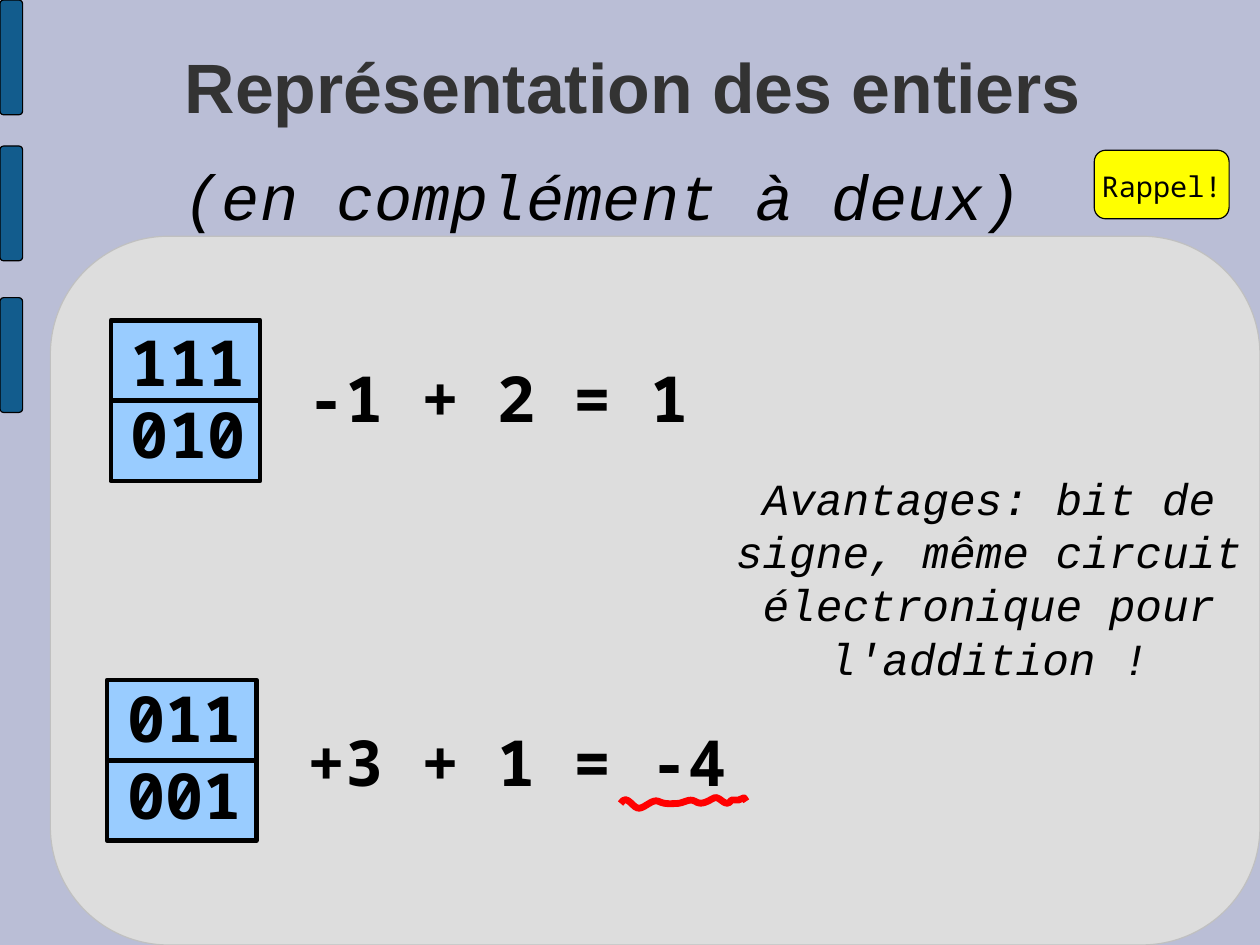
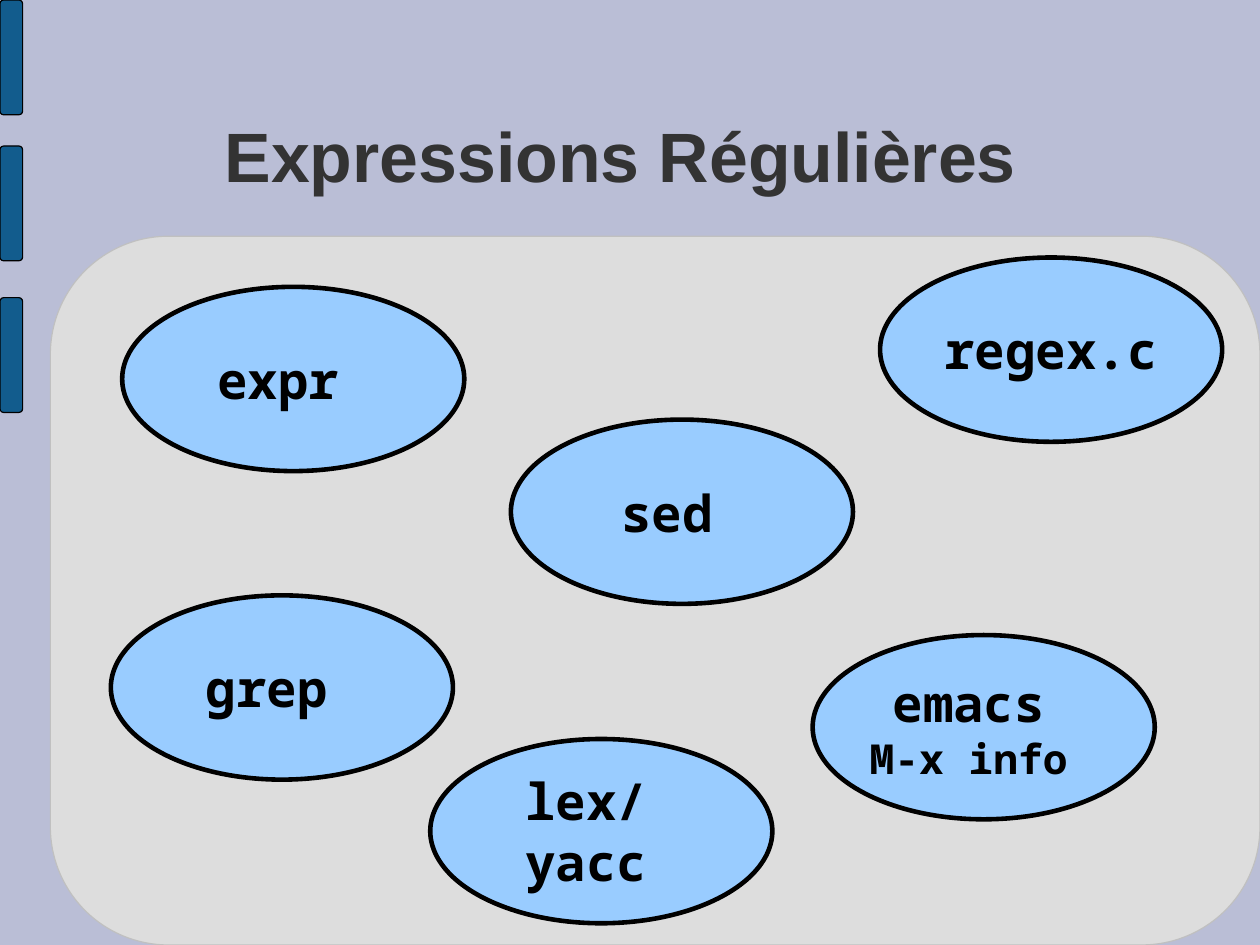
from pptx import Presentation
from pptx import util as u
from pptx.dml.color import RGBColor
from pptx.enum import shapes, text

W, H = u.Cm(28), u.Cm(21)  # slide size
BACK, PANEL, PANEL_EDGE, BAR = "BABED6", "DDDDDD", "C0C0C0", "125C8D"
BLUE, YELLOW, RED, BLACK, GREY = "99CCFF", "FFFF00", "FF0000", "000000", "333333"
SANS, MONO, COURIER = "Arial", "Noto Sans Mono", "Courier New"
SHAPE = shapes.MSO_SHAPE
LEFT, CENTER = text.PP_ALIGN.LEFT, text.PP_ALIGN.CENTER
TOP, MIDDLE = text.MSO_ANCHOR.TOP, text.MSO_ANCHOR.MIDDLE
THICK = 2.89


def color(hex_string):
    return RGBColor.from_string(hex_string)


def area(x, y, w, h):
    """Turn percentages of the slide into lengths."""
    return [u.Emu(round(v * side / 100)) for v, side in zip((x, y, w, h), (W, H, W, H))]


def write(sp, lines, sizes, font=MONO, bold=False, italic=False, ink=BLACK,
          align=LEFT, anchor=TOP, right=0, spacing=None):
    """Fill a shape with paragraphs; right is the right inset in inches."""
    tf = sp.text_frame
    tf.word_wrap, tf.auto_size = True, text.MSO_AUTO_SIZE.NONE
    tf.vertical_anchor = anchor
    tf.margin_left = tf.margin_top = tf.margin_bottom = 0
    tf.margin_right = u.Inches(right)
    tf.text = lines
    for p, size in zip(tf.paragraphs, sizes):
        p.alignment = align
        if spacing:
            p.line_spacing = spacing
        for r in p.runs:
            f = r.font
            f.name, f.size, f.bold, f.italic = font, u.Pt(size), bold, italic
            f.color.rgb = color(ink)


def block(s, kind, box, fill, edge=BLACK, width=0.75):
    sp = s.shapes.add_shape(kind, *area(*box))
    sp.shadow.inherit = False
    sp.fill.solid()
    sp.fill.fore_color.rgb = color(fill)
    sp.line.color.rgb = color(edge)
    sp.line.width = u.Pt(width)
    return sp


def label(s, box, words, size, **style):
    write(s.shapes.add_textbox(*area(*box)), words, [size], **style)


def title(s, box, words):
    sp = s.shapes.title
    sp.left, sp.top, sp.width, sp.height = area(*box)
    write(sp, words, [44], font=SANS, bold=True, ink=GREY, align=CENTER,
          anchor=MIDDLE, right=0.17, spacing=0.99)


def decorate(prs, s):
    """Draw the shared panel and bars, then move them to the slide master."""
    master = prs.slide_master
    master.background.fill.solid()
    master.background.fill.fore_color.rgb = color(BACK)
    shared = [block(s, SHAPE.ROUNDED_RECTANGLE, (4, 25, 96, 75), PANEL, PANEL_EDGE)]
    for y in (0, 15.45, 31.5):
        shared.append(block(s, SHAPE.ROUNDED_RECTANGLE, (0, y, 1.8, 12.15), BAR))
    for i, sp in enumerate(shared):
        master.shapes._spTree.insert(2 + i, sp._element)


def register_pair(s, x, y, words, text_rows):
    """Two stacked cells, each with a binary number at its own height."""
    height = 8.5
    for row in range(len(words)):
        block(s, SHAPE.RECTANGLE, (x, y + row * height, 11.85, height), BLUE, width=THICK)
    for bits, text_y in zip(words, text_rows):
        label(s, (x + 1.6, text_y, 11.2, 9), bits, 40, bold=True)


def squiggle(s, start, curves, tail, steps=8):
    """Wavy red line through cubic curves, ended by straight pieces (inches)."""
    points, p0 = [], start
    for x1, y1, x2, y2, x3, y3 in curves:
        for k in range(1, steps + 1):
            t = k / steps
            a, b, c, d = (1 - t) ** 3, 3 * t * (1 - t) ** 2, 3 * t * t * (1 - t), t ** 3
            points.append((a * p0[0] + b * x1 + c * x2 + d * x3,
                           a * p0[1] + b * y1 + c * y2 + d * y3))
        p0 = (x3, y3)
    points = [(u.Inches(x), u.Inches(y)) for x, y in points + tail]
    builder = s.shapes.build_freeform(u.Inches(start[0]), u.Inches(start[1]))
    builder.add_line_segments(points, close=False)
    sp = builder.convert_to_shape()
    sp.shadow.inherit = False
    sp.fill.background()
    sp.line.color.rgb = color(RED)
    sp.line.width = u.Pt(4.31)


def tool(s, x, y, words, right=0.26):
    sp = block(s, SHAPE.OVAL, (x, y, 27.15, 19.5), BLUE, width=THICK)
    write(sp, words, [32, 26], bold=True, align=CENTER, anchor=MIDDLE, right=right)


def integers_slide(s):
    title(s, (8.35, 2.4, 85.4, 13.9), "Représentation des entiers")
    label(s, (14.6, 16.6, 69, 8.1), "(en complément à deux)", 40, font=COURIER, italic=True)

    # Additions
    register_pair(s, 8.8, 33.9, ("111", "010"), (34.2, 41.85))
    register_pair(s, 8.5, 71.95, ("011", "001"), (71.85, 79.95))
    label(s, (24.4, 38, 33.3, 9), "-1 + 2 = 1", 40, bold=True)
    label(s, (24.4, 76.55, 35.5, 9), "+3 + 1 = -4", 40, bold=True)
    squiggle(s, (5.43, 7.03),
             [(5.49, 6.93, 5.54, 7.09, 5.6, 7.07), (5.65, 7.06, 5.71, 6.99, 5.76, 7.01),
              (5.82, 7.04, 5.87, 7.03, 5.92, 7.03), (5.98, 7.03, 6.03, 6.98, 6.08, 7.01),
              (6.14, 7.05, 6.19, 7.01, 6.25, 6.98), (6.3, 6.96, 6.35, 7.08, 6.4, 7)],
             [(6.46, 7), (6.51, 6.98), (6.53, 7.01)])

    # Reminder and remark
    badge = block(s, SHAPE.ROUNDED_RECTANGLE, (86.85, 15.9, 10.7, 7.25), YELLOW)
    write(badge, "Rappel!", [18], align=CENTER, anchor=MIDDLE, spacing=u.Pt(24))
    label(s, (58.35, 49.8, 40.3, 24.1),
          "Avantages: bit de signe, même circuit électronique pour l'addition !",
          28, font=COURIER, italic=True, align=CENTER)


def regex_slide(s):
    title(s, (7.35, 8, 85.4, 17.3), "Expressions Régulières")
    tool(s, 64.5, 67.2, "emacs\nM-x info")
    tool(s, 8.8, 63, "grep")
    tool(s, 40.55, 44.4, "sed")
    tool(s, 9.7, 30.35, "expr")
    tool(s, 69.85, 27.25, "regex.c", right=0)
    tool(s, 34.15, 78.2, "lex/yacc")


def main():
    prs = Presentation()
    prs.slide_width, prs.slide_height = W, H
    title_only = prs.slide_layouts[5]
    first, second = [prs.slides.add_slide(title_only) for _ in range(2)]
    decorate(prs, first)
    integers_slide(first)
    regex_slide(second)
    prs.save("out.pptx")


if __name__ == "__main__":
    main()
